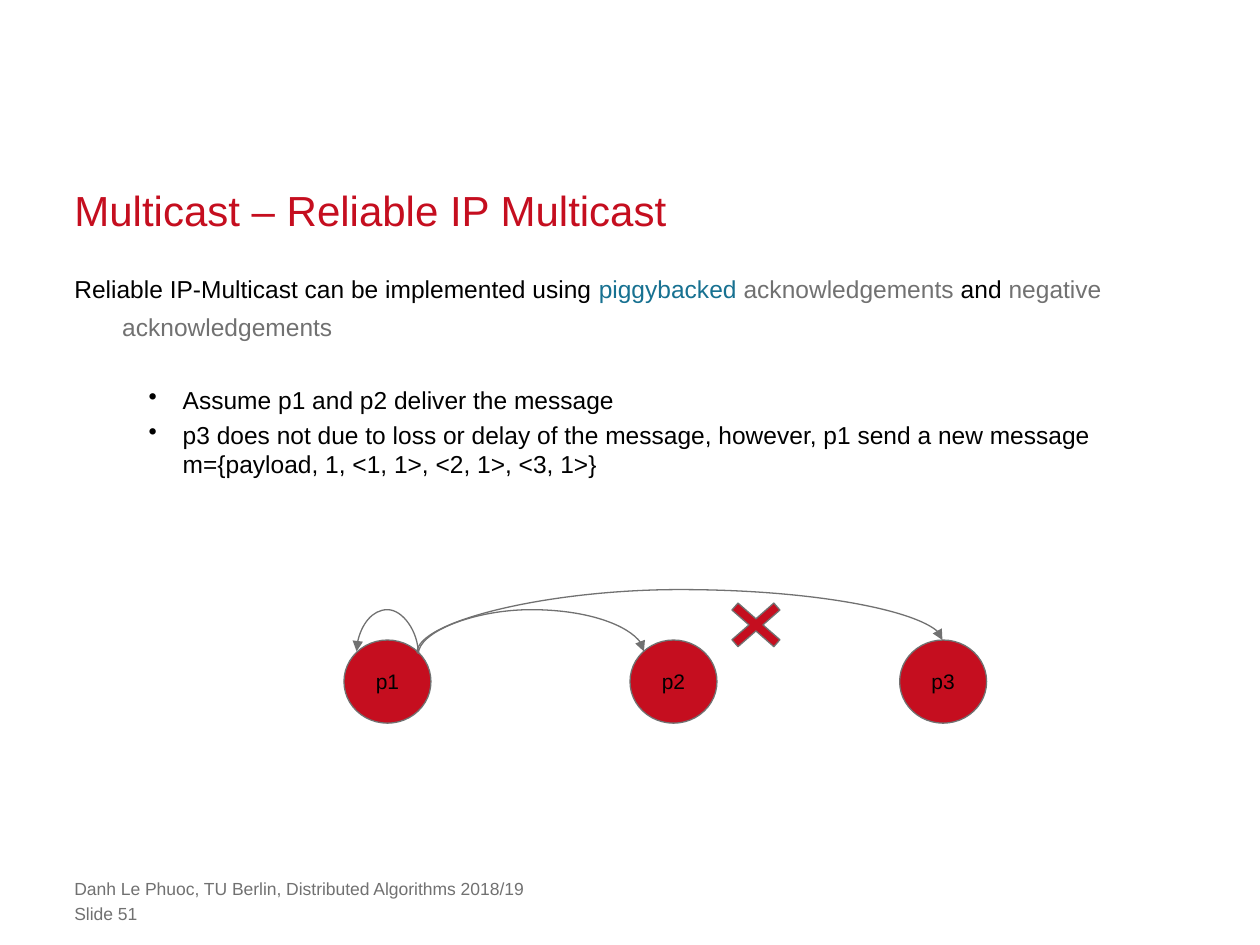
"""Build the slide on reliable IP multicast."""
from dataclasses import dataclass

from lxml import etree
from pptx import Presentation
from pptx.dml.color import RGBColor
from pptx.enum import shapes, text
from pptx.oxml import ns
from pptx.util import Inches, Pt

RED = RGBColor(0xC5, 0x0E, 0x1F)
GRAY = RGBColor(0x71, 0x71, 0x71)
TEAL = RGBColor(0x17, 0x71, 0x91)
BLACK = RGBColor(0, 0, 0)
FONT = "Arial"
MARGIN = 0.59
NODE_TOP, NODE_WIDTH, NODE_HEIGHT = 5.08, 0.69, 0.66


@dataclass(frozen=True)
class Node:
    label: str
    left: float


@dataclass(frozen=True)
class Message:
    start_x: float
    start_y: float
    end_x: float
    end_y: float
    peak_y: float


@dataclass(frozen=True)
class Bullet:
    text: str
    space_before: float


NODES = [Node("p1", 2.73), Node("p2", 5), Node("p3", 7.14)]
MESSAGES = [
    Message(3.32, 5.19, 5.11, 5.17, 4.84),
    Message(3.31, 5.18, 7.48, 5.08, 4.68),
    Message(3.32, 5.19, 2.83, 5.17, 4.84),
]
INTRODUCTION = [
    ("Reliable IP-Multicast can be implemented using ", BLACK),
    ("piggybacked ", TEAL),
    ("acknowledgements", GRAY),
    (" and ", BLACK),
    ("negative acknowledgements", GRAY),
]
BULLETS = [
    Bullet("Assume p1 and p2 deliver the message", 25),
    Bullet("p3 does not due to loss or delay of the message, however, p1 send a new "
           "message m={payload, 1, <1, 1>, <2, 1>, <3, 1>}", 2.8),
]


def set_font(paragraph, size: float, color: RGBColor | None = None) -> None:
    """Set the paragraph's font, size and colour."""
    paragraph.font.name = FONT
    paragraph.font.size = Pt(size)
    if color is not None:
        paragraph.font.color.rgb = color


def set_indent(paragraph, left: float, first: float) -> None:
    """Set the left margin and first-line indent in inches."""
    properties = paragraph._p.get_or_add_pPr()
    properties.set("marL", str(Inches(left)))
    properties.set("indent", str(Inches(first)))


def add_frame(slide, top: float, width: float, height: float):
    """Add a wrapping text box without insets and return its text frame."""
    shape = slide.shapes.add_textbox(
        Inches(MARGIN), Inches(top), Inches(width), Inches(height))
    frame = shape.text_frame
    frame.word_wrap = True
    frame.margin_left = frame.margin_right = frame.margin_top = frame.margin_bottom = 0
    return frame


def add_line(slide, top: float, width: float, height: float,
             content: str, size: float, color: RGBColor):
    """Add a one-paragraph text box and return its text frame."""
    frame = add_frame(slide, top, width, height)
    paragraph = frame.paragraphs[0]
    paragraph.text = content
    set_font(paragraph, size, color)
    return frame


def add_body(slide) -> None:
    """Add the introduction and the bullets."""
    frame = add_frame(slide, 2.1, 8.82, 4.49)
    paragraph = frame.paragraphs[0]
    set_indent(paragraph, 0.38, -0.38)
    paragraph.line_spacing = Pt(22)
    set_font(paragraph, 14)
    for content, color in INTRODUCTION:
        run = paragraph.add_run()
        run.text = content
        run.font.color.rgb = color
    for bullet in BULLETS:
        paragraph = frame.add_paragraph()
        paragraph.text = bullet.text
        paragraph.level = 1
        set_indent(paragraph, 0.86, -0.27)
        etree.SubElement(paragraph._p.get_or_add_pPr(), ns.qn("a:buChar"), char="•")
        paragraph.space_before = Pt(bullet.space_before)
        set_font(paragraph, 14, BLACK)


def add_red_shape(slide, kind, left: float, top: float, width: float, height: float):
    """Add a red shape with a thin gray outline."""
    shape = slide.shapes.add_shape(
        kind, Inches(left), Inches(top), Inches(width), Inches(height))
    shape.shadow.inherit = False
    shape.fill.solid()
    shape.fill.fore_color.rgb = RED
    shape.line.color.rgb = GRAY
    shape.line.width = Pt(0.75)
    return shape


def add_node(slide, node: Node) -> None:
    """Add a process circle with its label."""
    shape = add_red_shape(slide, shapes.MSO_SHAPE.OVAL, node.left, NODE_TOP,
                          NODE_WIDTH, NODE_HEIGHT)
    shape.text_frame.vertical_anchor = text.MSO_ANCHOR.MIDDLE
    paragraph = shape.text_frame.paragraphs[0]
    paragraph.text = node.label
    paragraph.alignment = text.PP_ALIGN.CENTER
    set_font(paragraph, 12, BLACK)


def add_message(slide, message: Message) -> None:
    """Add a curved arrow arching up to the message's peak, as a rotated connector."""
    rise = message.start_y - message.end_y
    rightward = message.end_x > message.start_x
    center_x = (message.start_x + message.end_x) / 2
    center_y = (message.start_y + message.end_y) / 2
    half_width = rise / 2 if rightward else -rise / 2
    half_height = abs(message.end_x - message.start_x) / 2
    connector = slide.shapes.add_connector(
        shapes.MSO_CONNECTOR.CURVE,
        Inches(center_x + half_width), Inches(center_y + half_height),
        Inches(center_x - half_width), Inches(center_y - half_height))
    connector.line.color.rgb = GRAY
    connector.line.width = Pt(0.75)
    properties = connector._element.spPr
    degrees = 90 if rightward else 270
    properties.find(ns.qn("a:xfrm")).set("rot", str(degrees * 60000))
    bend = round((message.start_y - message.peak_y) / rise * 100000)
    guides = properties.find(ns.qn("a:prstGeom")).find(ns.qn("a:avLst"))
    etree.SubElement(guides, ns.qn("a:gd"), name="adj1", fmla=f"val {bend}")
    line = properties.find(ns.qn("a:ln"))
    etree.SubElement(line, ns.qn("a:tailEnd"), type="triangle")
    etree.SubElement(properties, ns.qn("a:effectLst"))


def main() -> None:
    """Build and save the presentation."""
    presentation = Presentation()
    presentation.slide_width = Inches(10)
    presentation.slide_height = Inches(7.5)
    slide = presentation.slides.add_slide(presentation.slide_layouts[6])
    add_body(slide)
    title = add_line(slide, 1.47, 8.82, 0.39, "Multicast – Reliable IP Multicast", 24, RED)
    title.vertical_anchor = text.MSO_ANCHOR.BOTTOM
    title.paragraphs[0].line_spacing = Pt(30)
    add_line(slide, 6.97, 7.24, 0.17,
             "Danh Le Phuoc, TU Berlin, Distributed Algorithms 2018/19", 10, GRAY)
    add_line(slide, 7.17, 7.24, 0.17, "Slide 51", 10, GRAY)
    for node in NODES:
        add_node(slide, node)
    for message in MESSAGES:
        add_message(slide, message)
    cross = add_red_shape(slide, shapes.MSO_SHAPE.MATH_MULTIPLY, 5.68, 4.68, 0.64, 0.56)
    cross.adjustments[0] = 0.13
    presentation.save("out.pptx")


if __name__ == "__main__":
    main()
